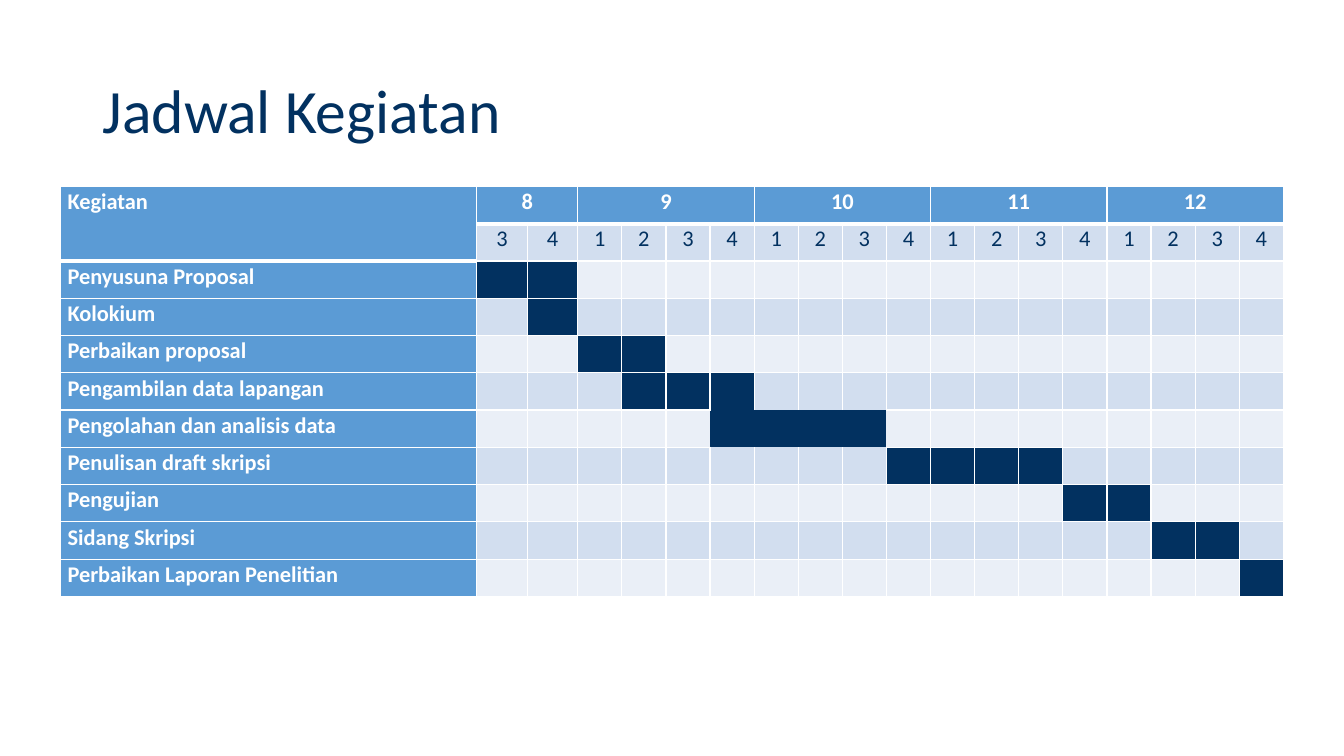
from lxml import etree
from pptx import Presentation
from pptx.dml.color import RGBColor
from pptx.enum import text
from pptx.oxml import ns
from pptx.util import Inches, Pt

COLORS = {"navy": "023160", "header": "5B9BD5", "band_dark": "D2DEEF",
          "band_light": "EAEFF7", "white": "FFFFFF"}
FONT = "Calibri"

# Month and its weeks
MONTHS = [("8", [3, 4])] + [(str(month), [1, 2, 3, 4]) for month in range(9, 13)]
# Activity with its first and last week column
ACTIVITIES = [
    ("Penyusuna Proposal", 1, 2),
    ("Kolokium", 2, 2),
    ("Perbaikan proposal", 3, 4),
    ("Pengambilan data lapangan", 4, 6),
    ("Pengolahan dan analisis data", 6, 9),
    ("Penulisan draft skripsi", 10, 13),
    ("Pengujian", 14, 15),
    ("Sidang Skripsi", 16, 17),
    ("Perbaikan Laporan Penelitian", 18, 18),
]
HEADER_ROWS = 2
ROWS = HEADER_ROWS + len(ACTIVITIES)
COLUMNS = 1 + sum(len(weeks) for _, weeks in MONTHS)
SOLID_BAR = {(6, column) for column in range(6, 10)}  # bar without grid lines
THICK_BELOW = {(0, column) for column in range(1, COLUMNS)} | {(0, 0), (1, 0)}


def write(paragraph, words, size, color, bold=False):
    run = paragraph.add_run()
    run.text = words
    run.font.name = FONT
    run.font.size = Pt(size)
    run.font.bold = bold
    run.font.color.rgb = RGBColor.from_string(COLORS[color])


def style_cell(row, column, fill):
    """Set the margins, the grid lines and the fill of one cell."""
    cell = schedule.cell(row, column)
    cell.margin_left = cell.margin_right = Inches(0.07)
    cell.margin_top = cell.margin_bottom = 0
    properties = cell._tc.get_or_add_tcPr()
    neighbours = {"lnL": (row, column - 1), "lnR": (row, column + 1),
                  "lnT": (row - 1, column), "lnB": (row + 1, column)}
    for side, neighbour in neighbours.items():
        above = {"lnT": neighbour, "lnB": (row, column)}.get(side)
        width = 3 if above in THICK_BELOW else 1
        line = etree.SubElement(properties, ns.qn("a:" + side), w=str(Pt(width)))
        if SOLID_BAR & {(row, column), neighbour}:
            etree.SubElement(line, ns.qn("a:noFill"))
        else:
            paint = etree.SubElement(line, ns.qn("a:solidFill"))
            etree.SubElement(paint, ns.qn("a:srgbClr"), val=COLORS["white"])
    cell.fill.solid()
    cell.fill.fore_color.rgb = RGBColor.from_string(COLORS[fill])


prs = Presentation()
prs.slide_width, prs.slide_height = Inches(13.33), Inches(7.5)
slide = prs.slides.add_slide(prs.slide_layouts[6])

# Title
title = slide.shapes.add_textbox(Inches(0.92), Inches(0.4), Inches(11.5), Inches(1.45)).text_frame
title.word_wrap = True
title.vertical_anchor = text.MSO_ANCHOR.MIDDLE
title.paragraphs[0].line_spacing = 0.9
write(title.paragraphs[0], "Jadwal Kegiatan", 44, "navy")

# Schedule grid
schedule = slide.shapes.add_table(ROWS, COLUMNS, Inches(0.6), Inches(1.85),
                                  Inches(12.13), Inches(4.07)).table
schedule.first_row = schedule.horz_banding = False
for row in schedule.rows:
    row.height = Inches(0.37)
for index, column in enumerate(schedule.columns):
    column.width = Inches(4.13 if index == 0 else 0.5 if index < 3 else 7 / 16)

for row in range(ROWS):
    for column in range(COLUMNS):
        if row == 0 or column == 0:
            fill = "header"
        elif row >= HEADER_ROWS and ACTIVITIES[row - HEADER_ROWS][1] <= column <= ACTIVITIES[row - HEADER_ROWS][2]:
            fill = "navy"
        else:
            fill = "band_dark" if row % 2 else "band_light"
        style_cell(row, column, fill)

# Labels: row, column, words, colour, bold
labels = [(0, 0, "Kegiatan", "white", True)]
schedule.cell(0, 0).merge(schedule.cell(1, 0))
month_start = 1
for month, weeks in MONTHS:
    schedule.cell(0, month_start).merge(schedule.cell(0, month_start + len(weeks) - 1))
    labels.append((0, month_start, month, "white", True))
    for column, week in enumerate(weeks, month_start):
        labels.append((1, column, str(week), "navy", False))
    month_start += len(weeks)
for row, (activity, _, _) in enumerate(ACTIVITIES, HEADER_ROWS):
    labels.append((row, 0, activity, "white", True))

for row, column, words, color, bold in labels:
    paragraph = schedule.cell(row, column).text_frame.paragraphs[0]
    paragraph.line_spacing = 1.07
    paragraph.alignment = text.PP_ALIGN.CENTER if column else text.PP_ALIGN.LEFT
    write(paragraph, words, 16, color, bold)

prs.save("out.pptx")
